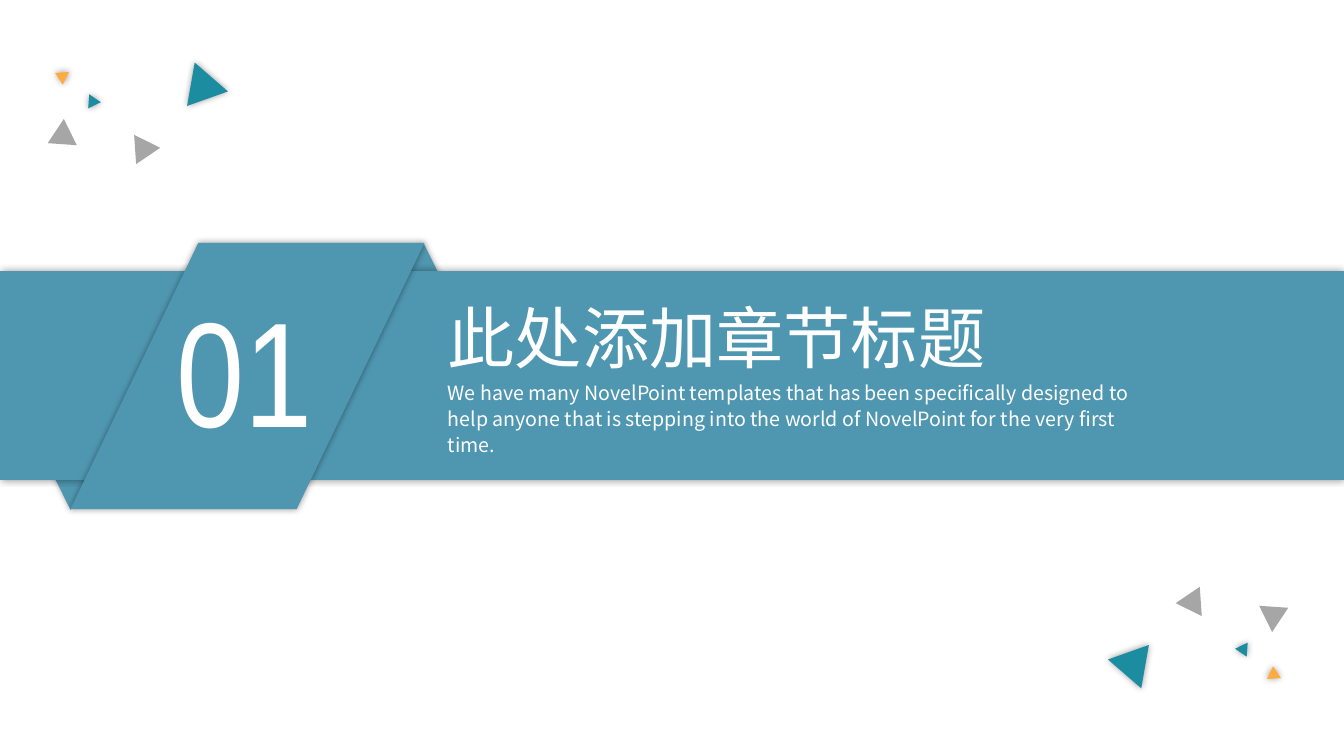
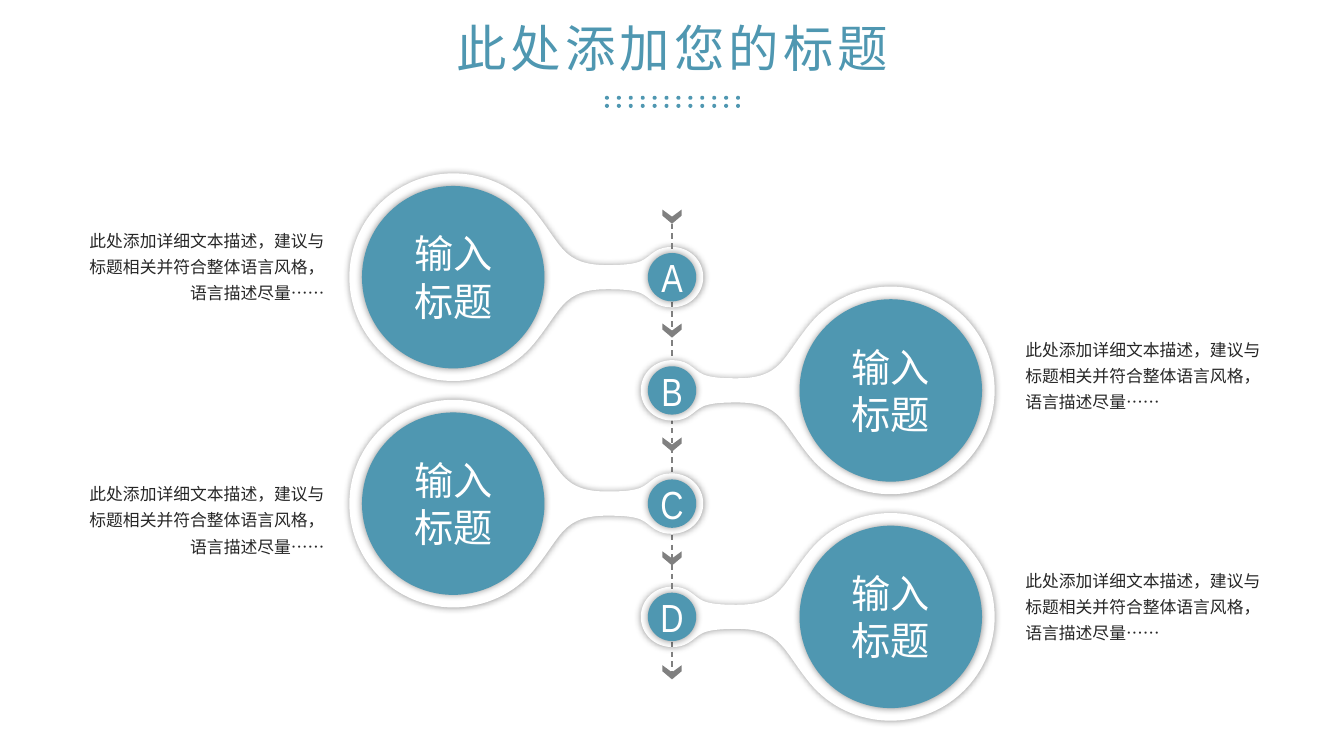
"""Build a chapter divider and a four-step timeline slide."""
from lxml import etree
from pptx import Presentation
from pptx.dml.color import RGBColor
from pptx.enum.dml import MSO_LINE
from pptx.enum.shapes import MSO_CONNECTOR, MSO_SHAPE
from pptx.enum.text import MSO_ANCHOR, MSO_AUTO_SIZE, PP_ALIGN
from pptx.oxml.ns import qn
from pptx.util import Inches, Pt

TRIANGLE, RECT, OVAL = MSO_SHAPE.ISOSCELES_TRIANGLE, MSO_SHAPE.RECTANGLE, MSO_SHAPE.OVAL
SLANT = MSO_SHAPE.PARALLELOGRAM
LEFT, CENTER, RIGHT = PP_ALIGN.LEFT, PP_ALIGN.CENTER, PP_ALIGN.RIGHT
TOP, MIDDLE = MSO_ANCHOR.TOP, MSO_ANCHOR.MIDDLE
GROW, FIXED = MSO_AUTO_SIZE.SHAPE_TO_FIT_TEXT, MSO_AUTO_SIZE.NONE

COLORS = {"main": "4F97B1", "teal": "1C8CA1", "orange": "FFAB3F", "light_gray": "A6A6A6",
          "gray": "808080", "ink": "262626", "white": "FFFFFF", "shadow": "000000"}
BODY_FONT, NUMBER_FONT = "Noto Sans CJK SC", "Arial Narrow"
SLIDE_W, SLIDE_H = 13.33, 7.5

CHAPTER_NUMBER = "01"
CHAPTER_TITLE = "此处添加章节标题"
CHAPTER_INTRO = ("We have many NovelPoint templates that has been specifically designed to help "
                 "anyone that is stepping into the world of NovelPoint for the very first time.")
CONFETTI = [
    (1.32, 1.35, 0.29, 0.25, 86.1, "light_gray", False),
    (1.78, 0.61, 0.43, 0.38, 340.5, "teal", True),
    (0.44, 1.24, 0.29, 0.25, 243.8, "light_gray", False),
    (0.53, 0.69, 0.14, 0.12, 296.5, "orange", True),
    (0.87, 0.95, 0.14, 0.12, 94.2, "teal", True),
]
CONFETTI_SPAN_X, CONFETTI_SPAN_Y = 13.25, 7.45

TIMELINE_TITLE = "此处添加您的标题"
STEP_LABEL = "输入标题"
STEP_DETAIL = "此处添加详细文本描述，建议与标题相关并符合整体语言风格，语言描述尽量……"
STEPS = [("A", -1, 2.23), ("B", 1, 3.31), ("C", -1, 4.74), ("D", 1, 5.6)]
DETAIL_COLUMNS = {-1: (0.78, 2.44, RIGHT), 1: (10.17, 2.46, LEFT)}
AXIS_X, AXIS_TOP, AXIS_BOTTOM = SLIDE_W / 2, 2.22, 6.68
FIRST_Y, LAST_Y = 2.75, 6.12
DISC_OFFSET, DISC_SIZE, BADGE_SIZE = 2.17, 1.81, 0.48
BUBBLE_START = (-0.31, 0)
BUBBLE_CURVES = [
    ((-0.31, -0.17), (-0.17, -0.3), (0, -0.3)),
    ((0.06, -0.3), (0.11, -0.29), (0.16, -0.26)),
    ((0.29, -0.18), (0.26, -0.12), (0.64, -0.12)),
    ((1.09, -0.12), (1.09, -0.32), (1.37, -0.66)),
    ((1.56, -0.89), (1.85, -1.03), (2.17, -1.03)),
    ((2.74, -1.03), (3.2, -0.57), (3.2, 0)),
]
CHEVRON_HALF = 0.19 / 2
CHEVRON = [(0, 0.07), (-1, 0), (-1, 0.06), (0, 0.14), (1, 0.06), (1, 0)]
CHEVRON_TOP, CHEVRON_GAP, CHEVRON_COUNT = 2.08, 1.13, 5
DOT_COLUMNS, DOT_ROWS = 12, (0.95, 1.03)
DOTS_LEFT, DOTS_RIGHT, DOT_SIZE, DOT_ANGLE = 6.0, 7.3, 0.04, 314.4


def rgb(color):
    return RGBColor.from_string(COLORS[color])


def paint(shape, color, shadow=False):
    shape.fill.solid()
    shape.fill.fore_color.rgb = rgb(color)
    shape.line.fill.background()
    shape.shadow.inherit = False
    if shadow:
        effects = shape._element.spPr.find(qn("a:effectLst"))
        outer = etree.SubElement(effects, qn("a:outerShdw"), blurRad=str(Pt(5)), dist="0",
                                 dir="0", algn="ctr", rotWithShape="0")
        tint = etree.SubElement(outer, qn("a:srgbClr"), val=COLORS["shadow"])
        etree.SubElement(tint, qn("a:alpha"), val="40000")
    return shape


def add_preset(slide, kind, left, top, width, height, color="main", shadow=False, rotation=0):
    shape = slide.shapes.add_shape(kind, Inches(left), Inches(top), Inches(width), Inches(height))
    shape.rotation = rotation
    return paint(shape, color, shadow)


def add_disc(slide, x, y, size):
    return add_preset(slide, OVAL, x - size / 2, y - size / 2, size, size, shadow=True)


def add_outline(slide, points, color, shadow=False):
    corners = [(Inches(x), Inches(y)) for x, y in points]
    builder = slide.shapes.build_freeform(*corners[0], scale=1.0)
    builder.add_line_segments(corners[1:], close=True)
    return paint(builder.convert_to_shape(), color, shadow)


def add_box(slide, left, top, width, height):
    return slide.shapes.add_textbox(Inches(left), Inches(top), Inches(width), Inches(height))


def write(shape, text, size, color="white", font=BODY_FONT, align=LEFT, anchor=TOP,
          line_spacing=None, letter_spacing=None, wrap=True, fit=GROW):
    frame = shape.text_frame
    frame.margin_left = frame.margin_right = frame.margin_top = frame.margin_bottom = 0
    frame.word_wrap = wrap
    frame.auto_size = fit
    frame.vertical_anchor = anchor
    paragraph = frame.paragraphs[0]
    paragraph.alignment = align
    if line_spacing:
        paragraph.line_spacing = line_spacing
    run = paragraph.add_run()
    run.text = text
    run.font.size = Pt(size)
    run.font.color.rgb = rgb(color)
    run.font.name = font
    properties = run.font._element
    etree.SubElement(properties, qn("a:ea"), typeface=font)
    if letter_spacing:
        properties.set("spc", str(letter_spacing * 100))


def bubble_curves():
    starts = [BUBBLE_START] + [curve[-1] for curve in BUBBLE_CURVES[:-1]]
    lower = [tuple((x, -y) for x, y in (second, first, start))
             for start, (first, second, _) in zip(starts, BUBBLE_CURVES)]
    return BUBBLE_CURVES + lower[::-1]


def add_bubble(slide, side, center_y):
    def place(point):
        return AXIS_X + side * point[0], center_y + point[1]

    curves = bubble_curves()
    ends = [place(curve[-1]) for curve in curves]
    bubble = add_outline(slide, [place(BUBBLE_START)] + ends, "white", shadow=True)
    segments = list(bubble._element.iter(qn("a:lnTo")))
    for segment, curve in zip(segments, curves):
        segment.tag = qn("a:cubicBezTo")
        segment.clear()
        for x, y in map(place, curve):
            etree.SubElement(segment, qn("a:pt"), x=str(Inches(x) - bubble.left),
                             y=str(Inches(y) - bubble.top))


def add_confetti(slide):
    for left, top, width, height, angle, color, shadow in CONFETTI:
        add_preset(slide, TRIANGLE, left, top, width, height, color, shadow, angle)
        add_preset(slide, TRIANGLE, CONFETTI_SPAN_X - left - width,
                   CONFETTI_SPAN_Y - top - height, width, height, color, shadow,
                   (angle + 180) % 360)


def build_chapter(slide):
    add_confetti(slide)
    add_preset(slide, TRIANGLE, 3.6, 2.41, 1.2, 1.21, shadow=True)
    add_preset(slide, TRIANGLE, 0.1, 3.85, 1.2, 1.21, shadow=True, rotation=180)
    add_preset(slide, RECT, 0, 2.69, SLIDE_W, 2.07, shadow=True)
    ribbon = add_preset(slide, SLANT, 0.7, 2.41, 3.51, 2.64, shadow=True)
    ribbon.adjustments[0] = 0.48
    write(add_box(slide, 1.46, 2.76, 1.93, 1.79), CHAPTER_NUMBER, 106.6,
          font=NUMBER_FONT, align=CENTER)
    write(add_box(slide, 4.44, 2.94, 7.36, 0.81), CHAPTER_TITLE, 48)
    write(add_box(slide, 4.44, 3.76, 6.91, 0.78), CHAPTER_INTRO, 14, line_spacing=1.1)


def add_title(slide, title):
    write(add_box(slide, 4.48, 0.16, 4.38, 0.61), title, 36, color="main", align=CENTER,
          anchor=MIDDLE, letter_spacing=3, wrap=False)
    pitch = (DOTS_RIGHT - DOTS_LEFT) / (DOT_COLUMNS - 1)
    for top in DOT_ROWS:
        for column in range(DOT_COLUMNS):
            add_preset(slide, OVAL, DOTS_LEFT + column * pitch, top, DOT_SIZE, DOT_SIZE,
                       rotation=DOT_ANGLE)


def add_axis(slide):
    axis = slide.shapes.add_connector(MSO_CONNECTOR.STRAIGHT, Inches(AXIS_X), Inches(AXIS_TOP),
                                      Inches(AXIS_X), Inches(AXIS_BOTTOM))
    axis.line.color.rgb = rgb("gray")
    axis.line.width = Pt(1)
    axis.line.dash_style = MSO_LINE.DASH
    etree.SubElement(axis._element.spPr, qn("a:effectLst"))
    for index in range(CHEVRON_COUNT):
        top = CHEVRON_TOP + index * CHEVRON_GAP
        add_outline(slide, [(AXIS_X + x * CHEVRON_HALF, top + y) for x, y in CHEVRON], "gray")


def add_bubbles(slide, steps):
    for _, side, _, y in steps:
        add_bubble(slide, side, y)


def build_timeline(slide):
    add_title(slide, TIMELINE_TITLE)
    gap = (LAST_Y - FIRST_Y) / (len(STEPS) - 1)
    steps = [(*step, FIRST_Y + index * gap) for index, step in enumerate(STEPS)]
    add_bubbles(slide, (steps[0], steps[-1]))
    add_axis(slide)
    add_bubbles(slide, steps[1:-1])
    for letter, side, detail_top, y in steps:
        disc_x = AXIS_X + side * DISC_OFFSET
        add_disc(slide, disc_x, y, DISC_SIZE)
        write(add_box(slide, disc_x - 0.5, y - 0.47, 1, 0.94), STEP_LABEL, 28, align=CENTER)
        write(add_disc(slide, AXIS_X, y, BADGE_SIZE), letter, 28, font=NUMBER_FONT,
              align=CENTER, anchor=MIDDLE, fit=FIXED)
        left, width, align = DETAIL_COLUMNS[side]
        write(add_box(slide, left, detail_top, width, 0.79), STEP_DETAIL, 12, color="ink",
              align=align, line_spacing=1.3)


def main():
    deck = Presentation()
    deck.slide_width, deck.slide_height = Inches(SLIDE_W), Inches(SLIDE_H)
    for build in (build_chapter, build_timeline):
        build(deck.slides.add_slide(deck.slide_layouts[6]))
    deck.save("out.pptx")


if __name__ == "__main__":
    main()
